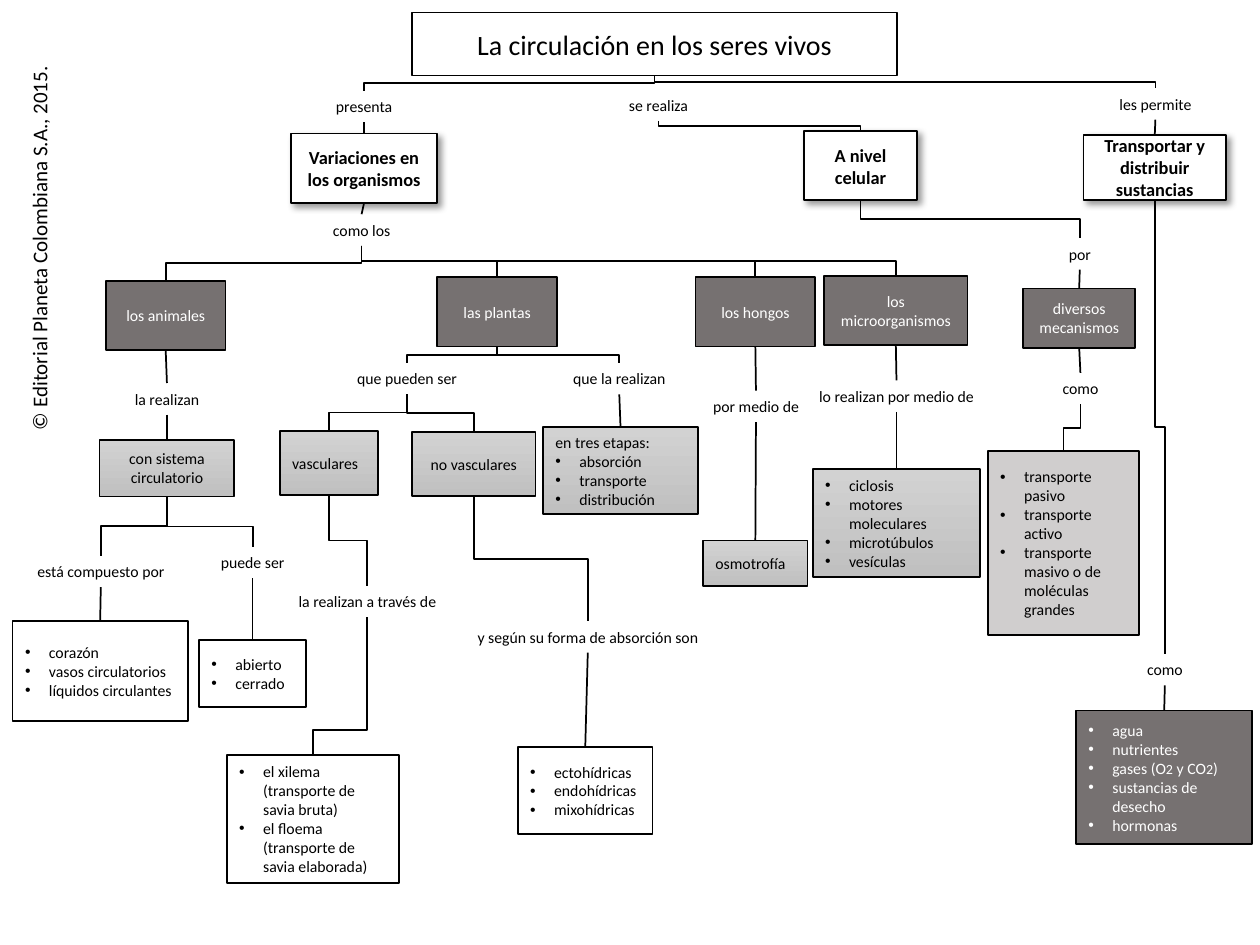
from functools import partial
from itertools import groupby

from lxml.etree import SubElement
from pptx import Presentation
from pptx.dml.color import RGBColor
from pptx.enum.shapes import MSO_CONNECTOR, MSO_SHAPE
from pptx.enum.text import MSO_ANCHOR, MSO_AUTO_SIZE, PP_ALIGN
from pptx.oxml.ns import qn
from pptx.util import Inches, Pt

BLACK, WHITE = "000000", "FFFFFF"
DARK, PALE = "767171", "D0CECE"
SILVER = ("D2D2D2", "C0C0C0")
TOP, BOTTOM = 0, 2


def rgb(color):
    return RGBColor.from_string(color)


def within(box, left, top, width, height):
    """Turn a position inside a region into a position on the slide."""
    return tuple(map(Inches, (box[0] + left, box[1] + top, width, height)))


def write(frame, *lines, size=9, color=BLACK, bold=False, align=PP_ALIGN.CENTER,
          bullets_from=None, small_digits=False):
    """Fill a text frame; lines from index bullets_from on get a bullet."""
    for index, line in enumerate(lines):
        paragraph = frame.paragraphs[0] if index == 0 else frame.add_paragraph()
        if bullets_from is not None and index >= bullets_from:
            properties = paragraph._p.get_or_add_pPr()
            properties.set("marL", str(Inches(0.19)))
            properties.set("indent", str(-Inches(0.19)))
            SubElement(properties, qn("a:buFont"), typeface="Arial")
            SubElement(properties, qn("a:buChar"), char="•")
        paragraph.alignment = align
        for is_digit, letters in groupby(line, lambda c: small_digits and c.isdigit()):
            run = paragraph.add_run()
            run.text = "".join(letters)
            run.font.name = "Calibri"
            run.font.size = Pt(size - 1 if is_digit else size)
            run.font.bold = bold
            run.font.color.rgb = rgb(color)


def add_label(slide, at, text, wrap=False, **style):
    label = slide.shapes.add_textbox(*at)
    label.text_frame.word_wrap = wrap
    label.text_frame.auto_size = MSO_AUTO_SIZE.SHAPE_TO_FIT_TEXT
    write(label.text_frame, text, **style)
    return label


def outline(shape, color=BLACK):
    shape.line.color.rgb = rgb(color)
    shape.line.width = Pt(1)


def paint(shape, fill):
    """Fill with one colour, or with a gradient from top to bottom."""
    if isinstance(fill, str):
        shape.fill.solid()
        shape.fill.fore_color.rgb = rgb(fill)
        return
    shape.fill.gradient()
    shape.fill.gradient_angle = 270
    for stop, color in zip(shape.fill.gradient_stops, fill):
        stop.color.rgb = rgb(color)


def cast_shadow(shape):
    effects = shape._element.spPr.find(qn("a:effectLst"))
    shadow = SubElement(effects, qn("a:outerShdw"), blurRad=str(Pt(4)), dist=str(Pt(3)),
                        dir="2700000", algn="tl", rotWithShape="0")
    black = SubElement(shadow, qn("a:srgbClr"), val=BLACK)
    SubElement(black, qn("a:alpha"), val="40000")


def add_concept(slide, at, *lines, fill=WHITE, **style):
    concept = slide.shapes.add_shape(MSO_SHAPE.RECTANGLE, *at)
    concept.shadow.inherit = False
    paint(concept, fill)
    outline(concept)
    concept.text_frame.word_wrap = True
    concept.text_frame.vertical_anchor = MSO_ANCHOR.MIDDLE
    write(concept.text_frame, *lines, color=WHITE if fill == DARK else BLACK, **style)
    return concept


def add_key_concept(slide, at, text):
    concept = add_concept(slide, at, text, size=10.5, bold=True)
    cast_shadow(concept)
    return concept


def add_list(slide, at, *lines, bullets_from=0, **style):
    return add_concept(slide, at, *lines, bullets_from=bullets_from,
                       align=PP_ALIGN.LEFT, **style)


def add_line(slide, kind, *ends):
    line = slide.shapes.add_connector(kind, *ends)
    outline(line)
    SubElement(line._element.spPr, qn("a:effectLst"))
    return line


def join(slide, upper, lower):
    """Straight line from the bottom of one part to the top of the next."""
    line = add_line(slide, MSO_CONNECTOR.STRAIGHT, 0, 0, 0, 0)
    line.begin_connect(upper, BOTTOM)
    line.end_connect(lower, TOP)


def branch(slide, upper, lower, bend=0.5):
    """Elbow going down, across at the given share of the drop, and down."""
    start_x = upper.left + upper.width // 2
    end_x = lower.left + lower.width // 2
    start_y, end_y = upper.top + upper.height, lower.top
    drop, shift = end_y - start_y, abs(end_x - start_x)
    left = (start_x + end_x - drop) // 2
    top = (start_y + end_y - shift) // 2
    elbow = add_line(slide, MSO_CONNECTOR.ELBOW, left, top, left + drop, top + shift)
    properties = elbow._element.spPr
    frame = properties.find(qn("a:xfrm"))
    frame.set("rot", "16200000" if end_x > start_x else "5400000")
    if end_x > start_x:
        frame.set("flipH", "1")
    guides = properties.find(qn("a:prstGeom")).find(qn("a:avLst"))
    SubElement(guides, qn("a:gd"), name="adj1", fmla=f"val {round(bend * 100000)}")


def add_header(slide, box):
    place = partial(within, box)
    title = slide.shapes.title
    title.left, title.top, title.width, title.height = place(0.96, 0, 3.85, 0.5)
    paint(title, WHITE)
    outline(title)
    title.text_frame.auto_size = MSO_AUTO_SIZE.NONE
    title.text_frame.vertical_anchor = MSO_ANCHOR.MIDDLE
    write(title.text_frame, "La circulación en los seres vivos", size=16)

    presents = add_label(slide, place(0.25, 0.62, 0.66, 0.25), "presenta", wrap=True)
    happens = add_label(slide, place(2.56, 0.61, 0.71, 0.25), "se realiza")
    allows = add_label(slide, place(6.47, 0.6, 0.78, 0.25), "les permite")
    variations = add_key_concept(slide, place(0, 0.96, 1.16, 0.55),
                                 "Variaciones en los organismos")
    cell = add_key_concept(slide, place(4.07, 0.94, 0.9, 0.55), "A nivel celular")
    transport = add_key_concept(slide, place(6.29, 0.97, 1.13, 0.52),
                                "Transportar y distribuir sustancias")
    branch(slide, title, presents)
    branch(slide, title, allows)
    join(slide, presents, variations)
    branch(slide, happens, cell)
    join(slide, allows, transport)
    return variations, cell, transport


def add_animals(slide, box):
    place = partial(within, box)
    animals = add_concept(slide, place(0.74, 0, 0.95, 0.55), "los animales", fill=DARK)
    through = add_label(slide, place(0.85, 0.81, 0.75, 0.25), "la realizan")
    system = add_concept(slide, place(0.69, 1.26, 1.07, 0.45),
                         "con sistema circulatorio", fill=SILVER)
    made_of = add_label(slide, place(0.09, 2.18, 1.22, 0.25), "está compuesto por")
    can_be = add_label(slide, place(1.55, 2.11, 0.71, 0.25), "puede ser")
    organs = add_list(slide, place(0, 2.7, 1.39, 0.79),
                      "corazón", "vasos circulatorios", "líquidos circulantes")
    kinds = add_list(slide, place(1.48, 2.85, 0.85, 0.53), "abierto", "cerrado")
    join(slide, animals, through)
    join(slide, through, system)
    branch(slide, system, made_of)
    branch(slide, system, can_be, bend=0.6)
    join(slide, made_of, organs)
    join(slide, can_be, kinds)
    return animals


def add_plants(slide, box):
    place = partial(within, box)
    plants = add_concept(slide, place(1.67, 0, 0.95, 0.55), "las plantas", fill=DARK)
    can_be = add_label(slide, place(0.93, 0.68, 1, 0.25), "que pueden ser", wrap=True)
    perform = add_label(slide, place(2.64, 0.68, 0.95, 0.25), "que la realizan")
    vascular = add_concept(slide, place(0.42, 1.22, 0.78, 0.51), "vasculares",
                           fill=SILVER, align=PP_ALIGN.LEFT)
    nonvascular = add_concept(slide, place(1.47, 1.23, 0.98, 0.51), "no vasculares",
                              fill=SILVER)
    stages = add_list(slide, place(2.51, 1.19, 1.23, 0.69), "en tres etapas:", "absorción",
                      "transporte", "distribución", bullets_from=1, fill=SILVER)
    through = add_label(slide, place(0.26, 2.45, 1.71, 0.25), "la realizan a través de",
                        wrap=True)
    absorption = add_label(slide, place(1.88, 2.73, 1.97, 0.25),
                           "y según su forma de absorción son")
    vessels = add_list(slide, place(0, 3.79, 1.37, 1.02),
                       "el xilema (transporte de savia bruta)",
                       "el floema (transporte de savia elaborada)")
    forms = add_list(slide, place(2.31, 3.73, 1.07, 0.69),
                     "ectohídricas", "endohídricas", "mixohídricas")
    for upper, lower in ((plants, can_be), (plants, perform), (can_be, vascular),
                         (can_be, nonvascular), (vascular, through),
                         (nonvascular, absorption)):
        branch(slide, upper, lower)
    branch(slide, through, vessels, bend=0.82)
    join(slide, perform, stages)
    join(slide, absorption, forms)
    return plants


def add_fungi(slide, box):
    place = partial(within, box)
    fungi = add_concept(slide, place(0, 0, 0.95, 0.55), "los hongos", fill=DARK)
    means = add_label(slide, place(0.02, 0.9, 0.92, 0.25), "por medio de")
    osmotrophy = add_concept(slide, place(0.06, 2.09, 0.83, 0.36), "osmotrofía",
                             fill=SILVER, align=PP_ALIGN.LEFT)
    join(slide, fungi, means)
    join(slide, means, osmotrophy)
    return fungi


def add_microorganisms(slide, box):
    place = partial(within, box)
    microbes = add_concept(slide, place(0.16, 0, 1.14, 0.55), "los microorganismos",
                           fill=DARK)
    means = add_label(slide, place(0, 0.83, 1.47, 0.25), "lo realizan por medio de")
    processes = add_list(slide, place(0.07, 1.53, 1.33, 0.86), "ciclosis",
                         "motores moleculares", "microtúbulos", "vesículas", fill=SILVER)
    join(slide, microbes, means)
    join(slide, means, processes)
    return microbes


def add_organisms(slide, box, variations):
    such_as = add_label(slide, within(box, 2.44, 0, 0.66, 0.25), "como los")
    join(slide, variations, such_as)
    left, top = box
    for add_group, group_left, group_top in (
            (add_animals, 0, 0.53), (add_plants, 1.7, 0.5),
            (add_fungi, 5.42, 0.5), (add_microorganisms, 6.28, 0.49)):
        branch(slide, such_as, add_group(slide, (left + group_left, top + group_top)))


def add_mechanisms(slide, box, cell):
    place = partial(within, box)
    by = add_label(slide, place(0.54, 0, 0.38, 0.25), "por", wrap=True)
    mechanisms = add_concept(slide, place(0.28, 0.4, 0.89, 0.47), "diversos mecanismos",
                             fill=DARK)
    such_as = add_label(slide, place(0.49, 1.07, 0.49, 0.25), "como", wrap=True)
    transports = add_list(slide, place(0, 1.69, 1.2, 1.46), "transporte pasivo",
                          "transporte activo", "transporte masivo o de moléculas grandes",
                          fill=PALE)
    branch(slide, cell, by)
    join(slide, by, mechanisms)
    join(slide, mechanisms, such_as)
    branch(slide, such_as, transports)


def add_substances(slide, box, transport):
    place = partial(within, box)
    such_as = add_label(slide, place(0.46, 0, 0.49, 0.25), "como", wrap=True)
    substances = add_list(slide, place(0, 0.45, 1.4, 1.06), "agua", "nutrientes",
                          "gases (O2 y CO2)", "sustancias de desecho", "hormonas",
                          fill=DARK, small_digits=True)
    branch(slide, transport, such_as)
    join(slide, such_as, substances)


def main():
    deck = Presentation()
    deck.slide_width, deck.slide_height = Inches(10), Inches(7.5)
    slide = deck.slides.add_slide(deck.slide_layouts[5])
    rights = add_label(slide, within((0, 0), -1.25, 1.82, 3.12, 0.3),
                       "© Editorial Planeta Colombiana S.A., 2015.", size=12)
    rights.rotation = 270
    variations, cell, transport = add_header(slide, (2.31, 0.1))
    add_organisms(slide, (0.1, 1.7), variations)
    add_mechanisms(slide, (7.84, 1.89), cell)
    add_substances(slide, (8.54, 5.19), transport)
    deck.save("out.pptx")


if __name__ == "__main__":
    main()
